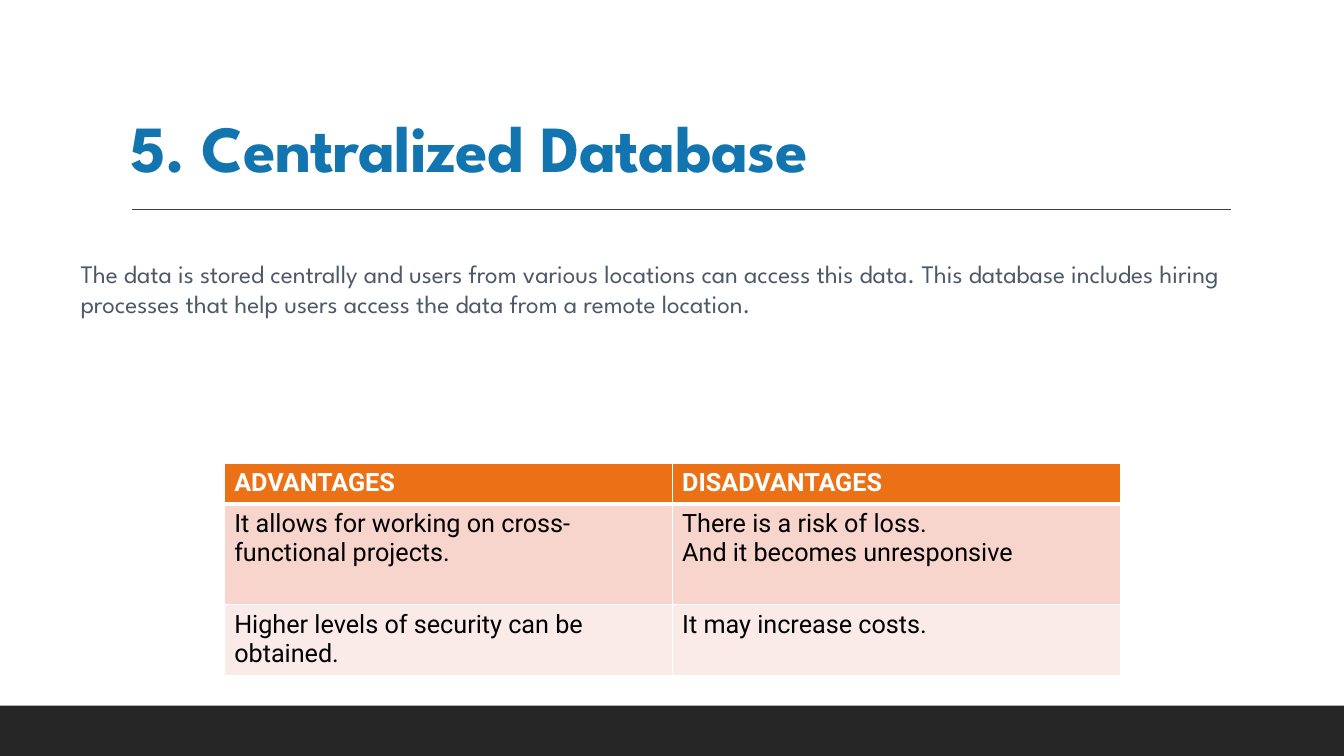
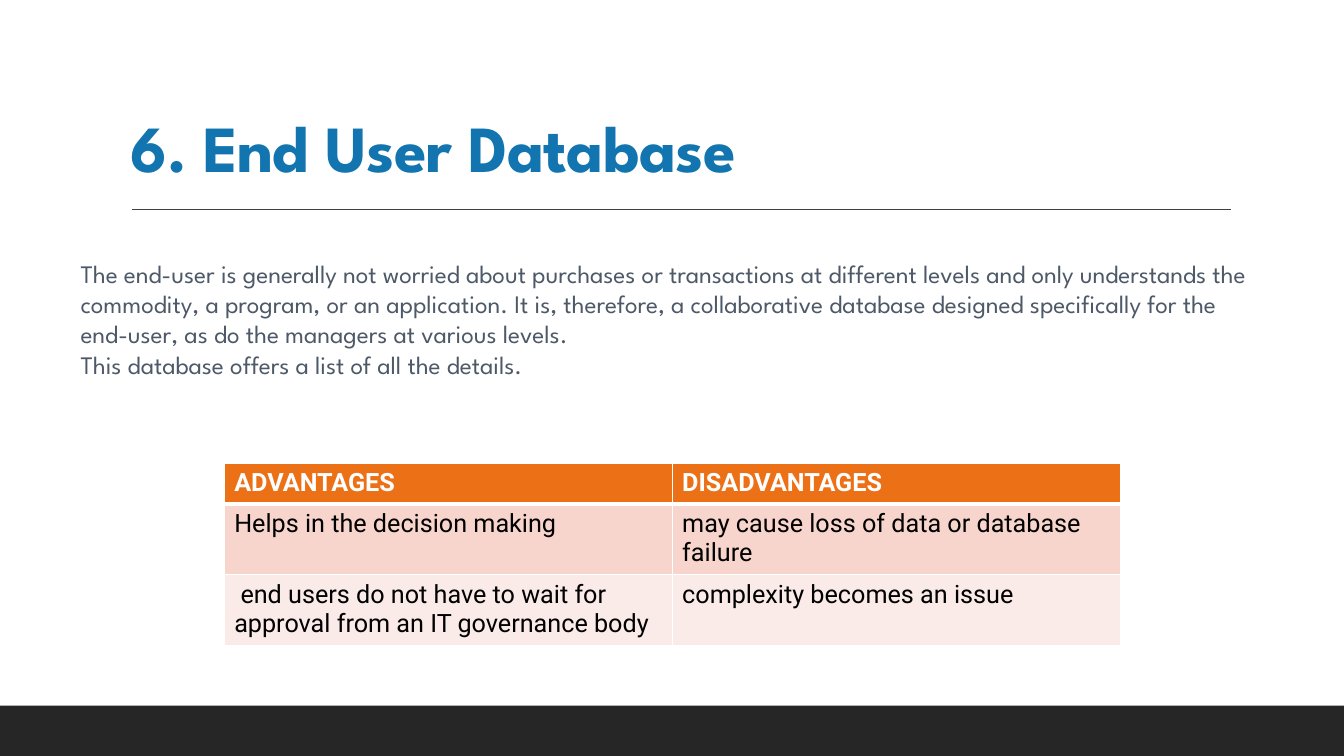
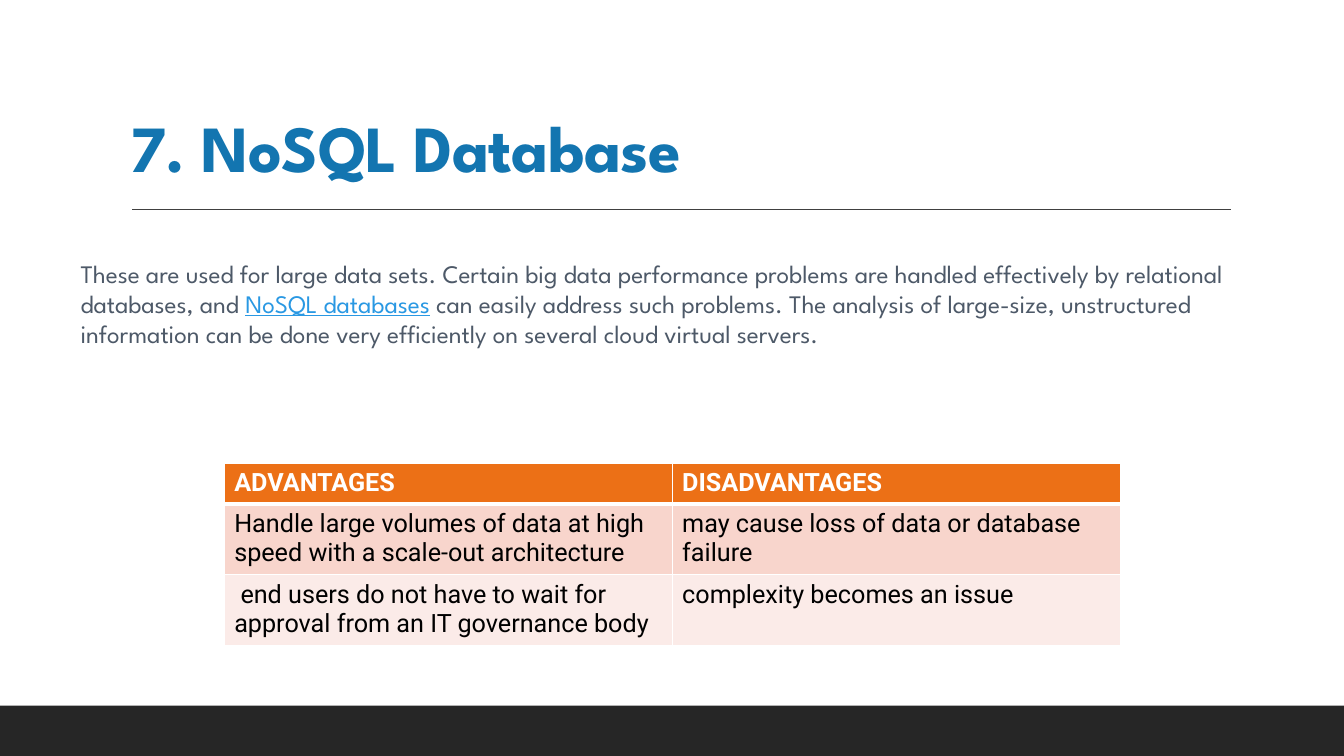
from lxml.etree import SubElement
from pptx import Presentation
from pptx.dml.color import RGBColor
from pptx.enum.shapes import MSO_CONNECTOR as Line, MSO_SHAPE as Shape
from pptx.enum.text import MSO_ANCHOR as Anchor
from pptx.oxml.ns import qn
from pptx.util import Cm, Pt

WHITE = RGBColor(0xFF, 0xFF, 0xFF)
BLACK = RGBColor(0x00, 0x00, 0x00)
DARK = RGBColor(0x26, 0x26, 0x26)
GREY = RGBColor(0x40, 0x40, 0x40)
BLUE = RGBColor(0x13, 0x75, 0xB0)
SLATE = RGBColor(0x4D, 0x59, 0x68)
LINK = RGBColor(0x29, 0x98, 0xE3)
ORANGE = RGBColor(0xEC, 0x70, 0x16)
ROSE = RGBColor(0xF8, 0xD5, 0xCC)
PALE = RGBColor(0xFB, 0xEB, 0xE8)

HEAD = "League Spartan"
BODY = "Roboto"
WIDE, HIGH = Cm(33.87), Cm(19.05)
FILLS = [ORANGE, ROSE, PALE]
TOP = ("ADVANTAGES", "DISADVANTAGES")
SHARED = (" end users do not have to wait for approval from an IT governance body",
          "complexity becomes an issue")
LOSS = "may cause loss of data or database failure"

# Title, paragraphs (every second run is a link), table rows, row heights in cm
PAGES = [
    ("5. Centralized Database",
     [["The data is stored centrally and users from various locations can access "
       "this data. This database includes hiring processes that help users access "
       "the data from a remote location."]],
     [TOP,
      ("It allows for working on cross-functional projects.",
       "There is a risk of loss.\nAnd it becomes unresponsive"),
      ("Higher levels of security can be obtained.", "It may increase costs.")],
     (1.02, 2.54, 1.78)),
    ("6. End User Database",
     [["The end-user is generally not worried about purchases or transactions at "
       "different levels and only understands the commodity, a program, or an "
       "application. It is, therefore, a collaborative database designed "
       "specifically for the end-user, as do the managers at various levels."],
      ["This database offers a list of all the details."]],
     [TOP, ("Helps in the decision making", LOSS), SHARED],
     (1.02, 1.78, 1.78)),
    ("7. NoSQL Database",
     [["These are used for large data sets. Certain big data performance problems "
       "are handled effectively by relational databases, and ",
       "NoSQL databases",
       " can easily address such problems. The analysis of large-size, "
       "unstructured information can be done very efficiently on several cloud "
       "virtual servers."]],
     [TOP,
      ("Handle large volumes of data at high speed with a scale-out architecture",
       LOSS),
      SHARED],
     (1.02, 1.78, 1.78)),
]


def style(run, face, size, color, bold=False):
    font = run.font
    font.name, font.size, font.bold = face, Pt(size), bold
    font.color.rgb = color


def edge(cell, side, width):
    """Draw one white border of a cell; side is L, R, T or B."""
    line = SubElement(cell._tc.get_or_add_tcPr(), qn(f"a:ln{side}"), w=str(Pt(width)))
    fill = SubElement(line, qn("a:solidFill"))
    SubElement(fill, qn("a:srgbClr"), val=str(WHITE))


deck = Presentation()
deck.slide_width, deck.slide_height = WIDE, HIGH

for title, paras, rows, heights in PAGES:
    slide = deck.slides.add_slide(deck.slide_layouts[6])
    shapes = slide.shapes

    band = shapes.add_shape(Shape.RECTANGLE, 0, Cm(17.78), WIDE, Cm(1.27))
    band.shadow.inherit = False
    band.fill.solid()
    band.fill.fore_color.rgb = DARK
    band.line.fill.background()

    rule = shapes.add_connector(Line.STRAIGHT, Cm(3.33), Cm(5.28), Cm(31.01), Cm(5.28))
    rule.line.color.rgb = GREY
    rule.line.width = Pt(1)
    SubElement(rule._element.spPr, qn("a:effectLst"))

    frame = shapes.add_textbox(Cm(3.05), Cm(0.79), Cm(27.94), Cm(4.04)).text_frame
    frame.word_wrap = True
    frame.vertical_anchor = Anchor.BOTTOM
    frame.text = title
    para = frame.paragraphs[0]
    para.line_spacing = 0.9
    style(para.runs[0], HEAD, 47, BLUE, True)
    para.runs[0]._r.get_or_add_rPr().set("spc", "-50")

    frame = shapes.add_textbox(Cm(1.78), Cm(6.38), Cm(30.43), Cm(1.8)).text_frame
    frame.word_wrap = True
    for i, parts in enumerate(paras):
        para = frame.add_paragraph() if i else frame.paragraphs[0]
        for j, part in enumerate(parts):
            run = para.add_run()
            run.text = part
            style(run, HEAD, 18, LINK if j % 2 else SLATE)
            if j % 2:
                run.font.underline = True

    grid = shapes.add_table(len(rows), len(TOP), Cm(5.65), Cm(11.68),
                            Cm(22.58), Cm(sum(heights))).table
    for r, row in enumerate(rows):
        grid.rows[r].height = Cm(heights[r])
        for c, text in enumerate(row):
            cell = grid.cell(r, c)
            for side in "LRTB":
                thick = (r, side) in [(0, "B"), (1, "T")]
                edge(cell, side, 3 if thick else 1)
            cell.fill.solid()
            cell.fill.fore_color.rgb = FILLS[r]
            cell.text_frame.text = text
            for para in cell.text_frame.paragraphs:
                style(para.runs[0], BODY, 18, BLACK if r else WHITE, r == 0)

deck.save("out.pptx")
